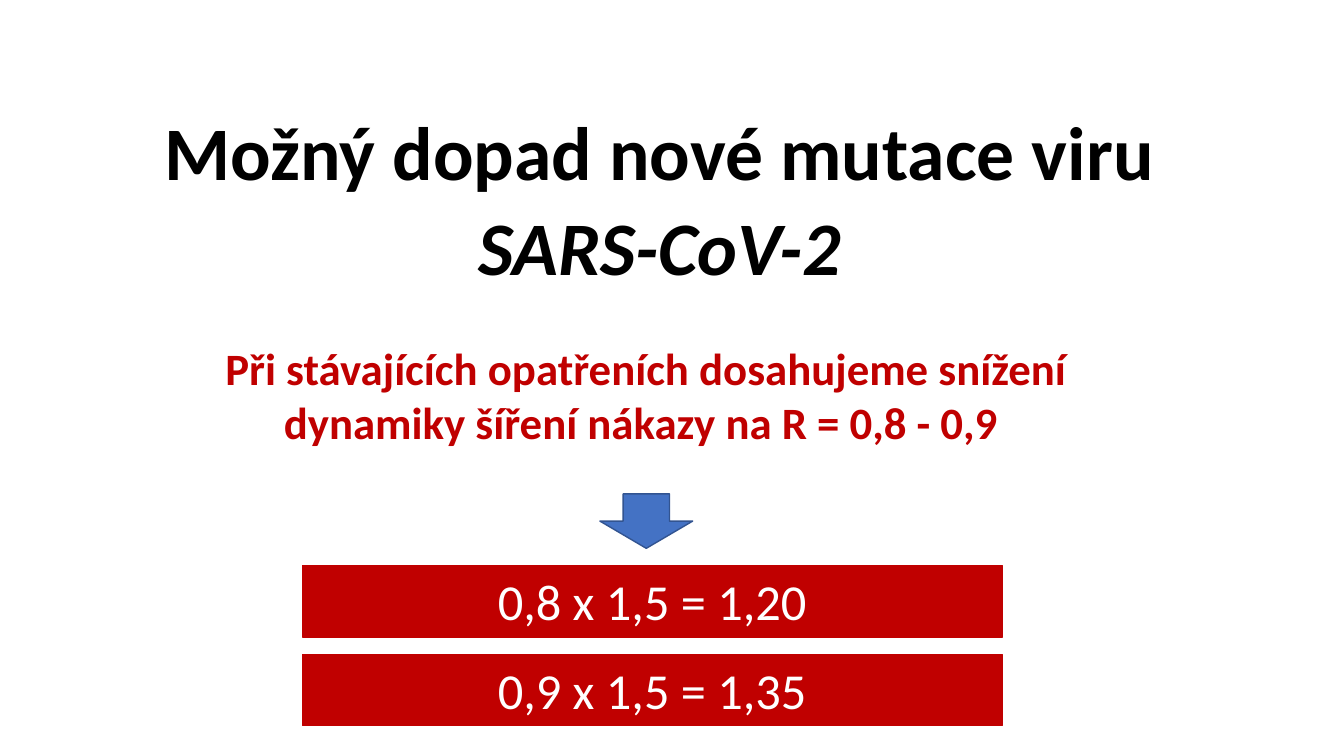
from dataclasses import dataclass

from pptx import Presentation
from pptx.dml.color import RGBColor
from pptx.enum.shapes import MSO_SHAPE as Shape
from pptx.enum.text import MSO_ANCHOR as Anchor, MSO_AUTO_SIZE as AutoSize, PP_ALIGN as Align
from pptx.util import Inches, Pt

# Content
HEADING = [("Možný dopad nové mutace viru ", False), ("SARS-CoV-2 ", True)]
STATEMENT = ("Při stávajících opatřeních dosahujeme snížení "
             "dynamiky šíření nákazy na R = 0,8 - 0,9 ")
RESULTS = ["0,8 x 1,5 = 1,20", "0,9 x 1,5 = 1,35"]


@dataclass(frozen=True)
class Theme:
    font: str = "Calibri"
    black: str = "000000"
    white: str = "FFFFFF"
    red: str = "C00000"
    blue: str = "4472C4"
    dark_blue: str = "325491"
    heading: int = 54
    result: int = 36
    statement: int = 32


THEME = Theme()


def inches(*lengths):
    return [Inches(length) for length in lengths]


def write(para, text, *, size, color, bold=False, italic=False):
    para.alignment = Align.CENTER
    span = para.add_run()
    span.text = text
    span.font.name = THEME.font
    span.font.size = Pt(size)
    span.font.bold = bold
    span.font.italic = italic
    span.font.color.rgb = RGBColor.from_string(color)


def add_block(slide, kind, place, *, fill, line, width):
    block = slide.shapes.add_shape(kind, *inches(*place))
    block.shadow.inherit = False
    block.fill.solid()
    block.fill.fore_color.rgb = RGBColor.from_string(fill)
    block.line.color.rgb = RGBColor.from_string(line)
    block.line.width = Pt(width)
    return block


def main():
    deck = Presentation()
    deck.slide_width, deck.slide_height = inches(13.33, 7.5)
    slide = deck.slides.add_slide(deck.slide_layouts[5])

    # Heading
    title = slide.shapes.title
    title.left, title.top, title.width, title.height = inches(0.42, 1.09, 12.41, 2.16)
    frame = title.text_frame
    frame.word_wrap = True
    frame.auto_size = AutoSize.NONE
    frame.vertical_anchor = Anchor.TOP
    for index, (text, italic) in enumerate(HEADING):
        para = frame.add_paragraph() if index else frame.paragraphs[0]
        para.line_spacing = 0.9
        para.space_before = Pt(10 if index else 0)
        write(para, text, size=THEME.heading, color=THEME.black, bold=True, italic=italic)

    # Statement
    box = slide.shapes.add_textbox(*inches(1.69, 3.33, 9.44, 1.18))
    box.text_frame.word_wrap = True
    box.text_frame.auto_size = AutoSize.SHAPE_TO_FIT_TEXT
    write(box.text_frame.paragraphs[0], STATEMENT,
          size=THEME.statement, color=THEME.red, bold=True)

    # Arrow to the results
    add_block(slide, Shape.DOWN_ARROW, (5.95, 4.9, 0.92, 0.54),
              fill=THEME.blue, line=THEME.dark_blue, width=1)

    # Result bars
    for row, text in enumerate(RESULTS):
        bar = add_block(slide, Shape.RECTANGLE, (3, 5.61 + row * 0.88, 6.94, 0.71),
                        fill=THEME.red, line=THEME.red, width=0.75)
        bar.text_frame.word_wrap = True
        bar.text_frame.auto_size = AutoSize.SHAPE_TO_FIT_TEXT
        bar.text_frame.vertical_anchor = Anchor.TOP
        write(bar.text_frame.paragraphs[0], text, size=THEME.result, color=THEME.white)

    deck.save("out.pptx")


if __name__ == "__main__":
    main()
